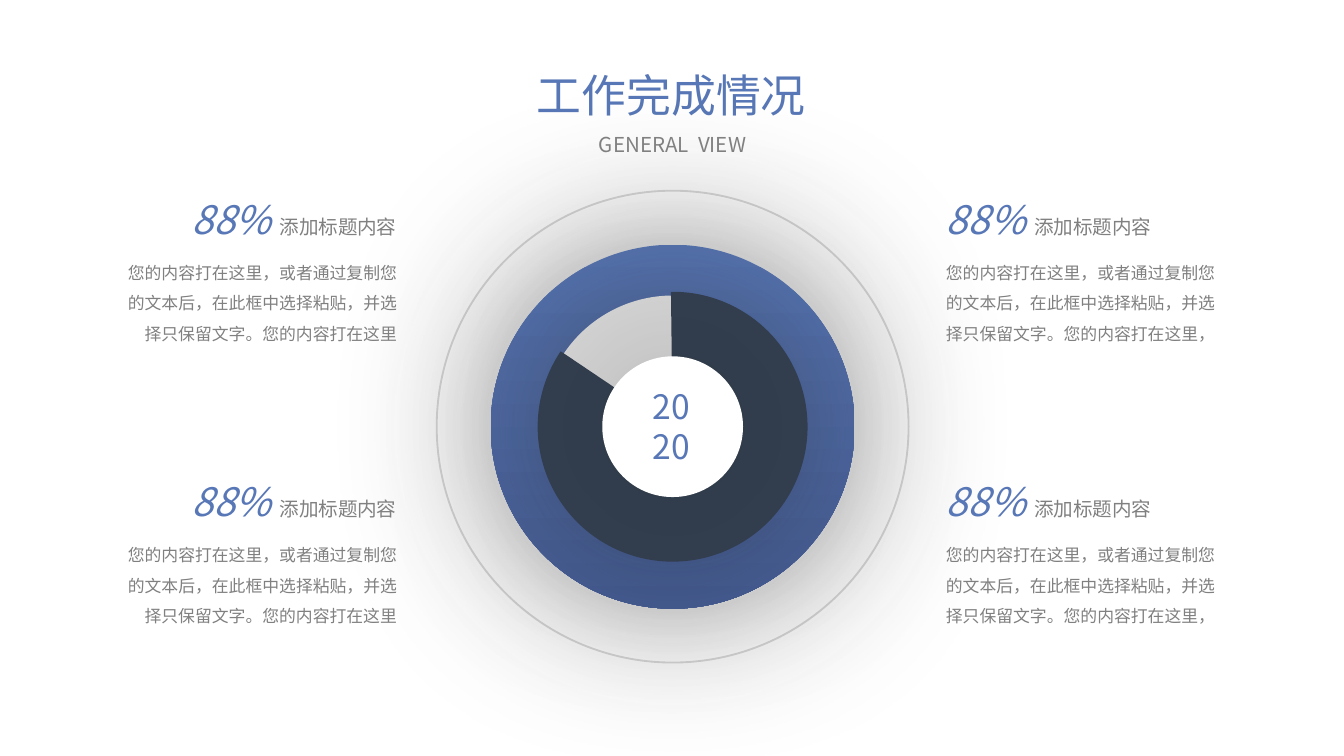
"""Build a work progress slide with a ringed dial and four notes."""
from dataclasses import dataclass
from typing import Optional

from lxml.etree import SubElement
from pptx import Presentation
from pptx.dml.color import RGBColor
from pptx.dml.fill import FillFormat
from pptx.enum.shapes import MSO_SHAPE
from pptx.enum.text import MSO_ANCHOR, MSO_AUTO_SIZE, PP_ALIGN
from pptx.oxml.ns import qn
from pptx.shapes.autoshape import Shape
from pptx.slide import Slide
from pptx.text.text import _Run as Run
from pptx.util import Pt


@dataclass(frozen=True)
class Theme:
    """Hold the colours, font and type sizes."""
    font: str = "Noto Sans CJK SC"
    blue: str = "5877B6"
    deep: str = "465E96"
    dark: str = "333F50"
    pale: str = "D9D9D9"
    white: str = "FFFFFF"
    grey: str = "808080"
    shade: str = "262626"
    title: float = 24
    rate: float = 21
    year: float = 18
    sub: float = 11
    head: float = 10.5
    body: float = 9


@dataclass(frozen=True)
class Box:
    """Hold a place in points."""
    left: float
    top: float
    width: float
    height: float


@dataclass(frozen=True)
class Disc:
    """Describe one round layer of the dial."""
    size: float
    fill: Optional[str] = None
    line: Optional[str] = None
    glow: bool = False
    kind: MSO_SHAPE = MSO_SHAPE.OVAL


@dataclass(frozen=True)
class Note:
    """Describe one note with its rate."""
    left: float
    top: float
    align: PP_ALIGN
    body: str


THEME = Theme()
MID_X, MID_Y = 360.36, 228.6
PIE_FROM, PIE_TO = 269.29, 213.97
HEAD_W, BODY_W = 146.2, 165.6
BODY = "您的内容打在这里，或者通过复制您的文本后，在此框中选择粘贴，并选择只保留文字。您的内容打在这里"
DISCS = (
    Disc(252.8, line=THEME.pale),
    Disc(195, fill=THEME.blue, glow=True),
    Disc(140.5, fill=THEME.pale, glow=True),
    Disc(144.6, fill=THEME.dark, kind=MSO_SHAPE.PIE),
    Disc(75.4, fill=THEME.white, glow=True),
)
NOTES = [
    Note(left, top, align, BODY + end)
    for left, align, end in ((499.7, PP_ALIGN.LEFT, "，"), (54, PP_ALIGN.RIGHT, ""))
    for top in (103.7, 254.9)
]


def paint(fill: FillFormat, tint: str) -> None:
    """Fill with a plain tint, or fade down from blue."""
    if tint != THEME.blue:
        fill.solid()
        fill.fore_color.rgb = RGBColor.from_string(tint)
        return
    fill.gradient()
    fill.gradient_angle = 270
    for stop, shade in zip(fill.gradient_stops, (THEME.blue, THEME.deep)):
        stop.color.rgb = RGBColor.from_string(shade)


def add_glow(shape: Shape) -> None:
    """Put a wide soft shadow round a shape."""
    effect = shape._element.spPr.find(qn("a:effectLst"))
    outer = SubElement(effect, qn("a:outerShdw"), blurRad=str(Pt(100)),
                       dist="0", algn="ctr", rotWithShape="0")
    tint = SubElement(outer, qn("a:srgbClr"), val=THEME.shade)
    SubElement(tint, qn("a:alpha"), val="40000")


def draw_disc(slide: Slide, disc: Disc) -> None:
    """Draw one layer of the dial about its centre."""
    half = disc.size / 2
    shape = slide.shapes.add_shape(disc.kind, Pt(MID_X - half), Pt(MID_Y - half),
                                   Pt(disc.size), Pt(disc.size))
    shape.shadow.inherit = False
    if disc.fill:
        paint(shape.fill, disc.fill)
    else:
        shape.fill.background()
    if disc.line:
        paint(shape.line.fill, disc.line)
        shape.line.width = Pt(1)
    else:
        shape.line.fill.background()
    if disc.kind == MSO_SHAPE.PIE:
        for spot, angle in enumerate((PIE_FROM, PIE_TO)):
            shape.adjustments[spot] = angle * 0.6
    if disc.glow:
        add_glow(shape)


def style(run: Run, size: float, tint: str, slant: bool = False) -> None:
    """Set the type of a run."""
    run.font.size = Pt(size)
    run.font.italic = slant
    run.font.name = THEME.font
    paint(run.font.fill, tint)
    SubElement(run._r.get_or_add_rPr(), qn("a:ea"), typeface=THEME.font)


def set_text(shape: Shape, box: Box, text: str, size: float, tint: str,
             align: PP_ALIGN = PP_ALIGN.CENTER, space: float = 1) -> None:
    """Place a text shape, then fill and format it."""
    shape.left, shape.top = Pt(box.left), Pt(box.top)
    shape.width, shape.height = Pt(box.width), Pt(box.height)
    frame = shape.text_frame
    frame.text = text
    frame.word_wrap = True
    frame.auto_size = MSO_AUTO_SIZE.NONE
    frame.vertical_anchor = MSO_ANCHOR.TOP
    for para in frame.paragraphs:
        para.alignment = align
        para.line_spacing = space
        for run in para.runs:
            style(run, size, tint)


def add_text(slide: Slide) -> Shape:
    """Add an empty text box."""
    return slide.shapes.add_textbox(0, 0, 0, 0)


def draw_note(slide: Slide, note: Note) -> None:
    """Draw a rate, its heading and the body below."""
    shift = BODY_W - HEAD_W if note.align == PP_ALIGN.RIGHT else 0
    head = add_text(slide)
    set_text(head, Box(note.left + shift, note.top, HEAD_W, 25.2), "88% ",
             THEME.rate, THEME.blue, note.align, 0.9)
    para = head.text_frame.paragraphs[0]
    para.space_before = Pt(16)
    para.runs[0].font.italic = True
    label = para.add_run()
    label.text = "添加标题内容"
    style(label, THEME.head, THEME.grey)
    set_text(add_text(slide), Box(note.left, note.top + 28.1, BODY_W, 56.2),
             note.body, THEME.body, THEME.grey, note.align, 1.5)


def main() -> None:
    """Build and save the slide."""
    deck = Presentation()
    deck.slide_width, deck.slide_height = Pt(720), Pt(405)
    slide = deck.slides.add_slide(deck.slide_layouts[5])
    for disc in DISCS:
        draw_disc(slide, disc)
    for note in NOTES:
        draw_note(slide, note)
    set_text(slide.shapes.title, Box(266.4, 32.4, 186.5, 36), "工作完成情况",
             THEME.title, THEME.blue)
    set_text(add_text(slide), Box(287.3, 67, 146.2, 20.9), "GENERAL  VIEW",
             THEME.sub, THEME.grey)
    set_text(add_text(slide), Box(266.4, 203, 186.5, 51.1), "20\n20",
             THEME.year, THEME.blue)
    deck.save("out.pptx")


if __name__ == "__main__":
    main()
